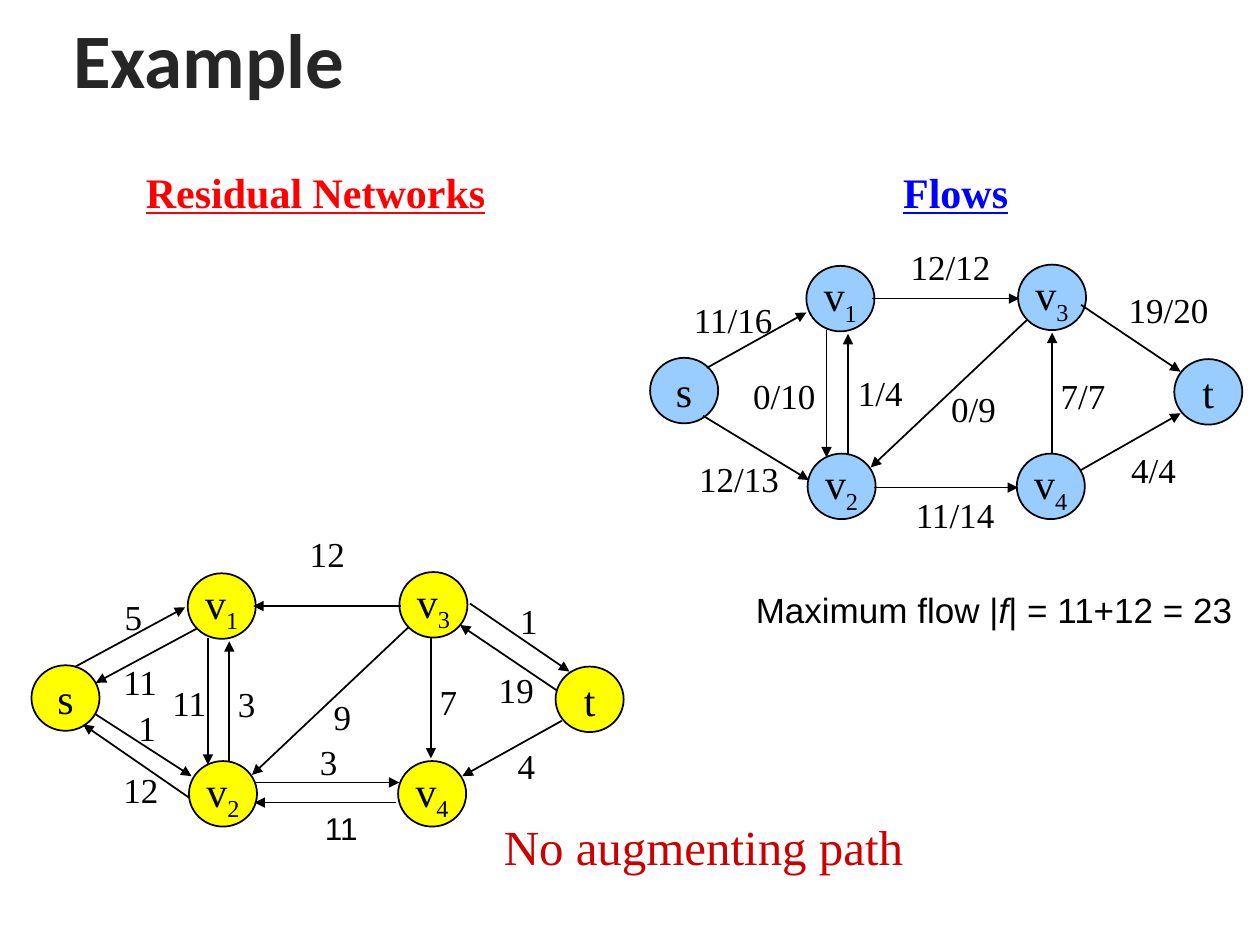
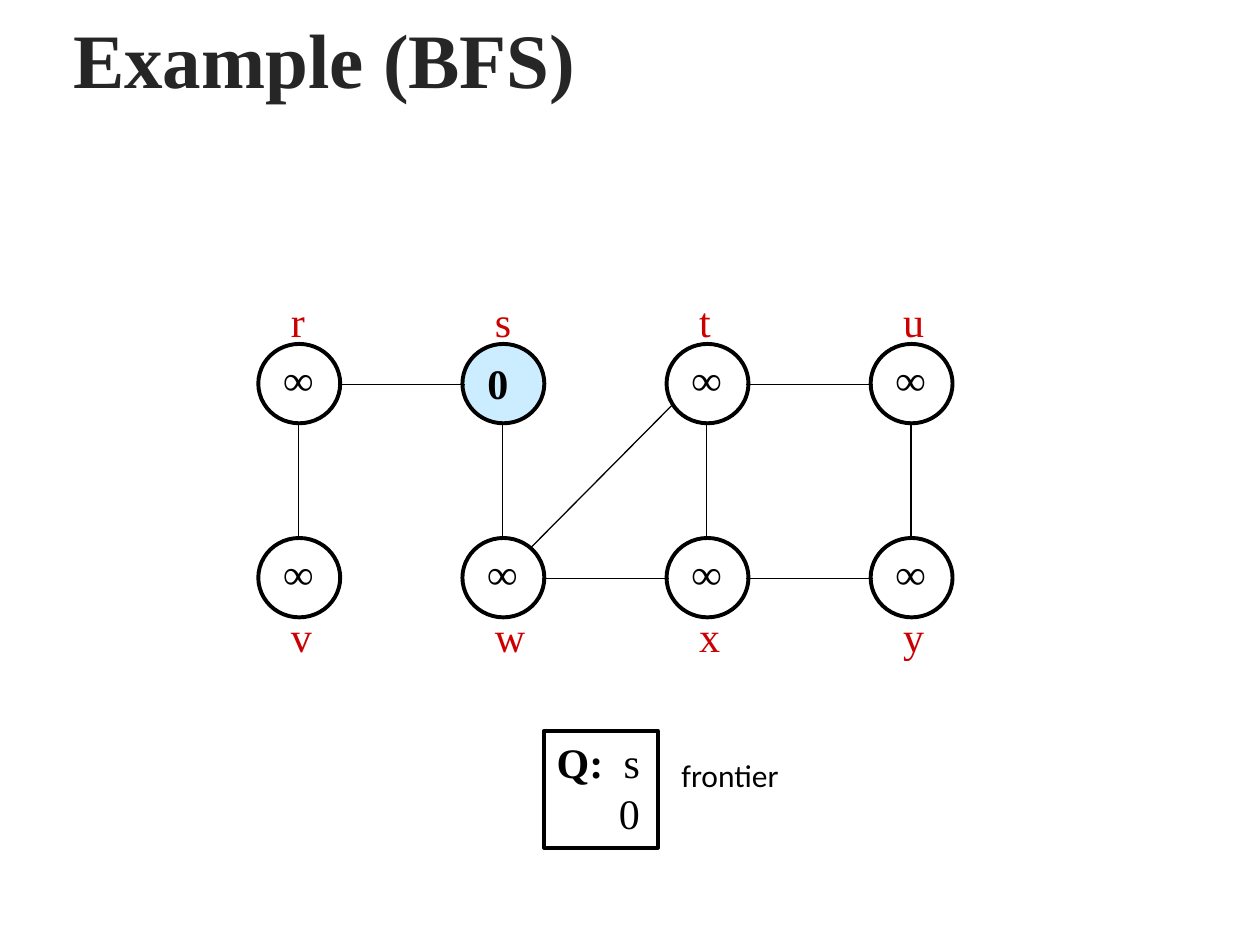
from lxml import etree
from pptx import Presentation
from pptx.dml.color import RGBColor
from pptx.enum.shapes import MSO_CONNECTOR, MSO_SHAPE
from pptx.enum.text import MSO_ANCHOR, PP_ALIGN
from pptx.oxml.ns import qn
from pptx.util import Inches, Pt

OVAL, RECT = MSO_SHAPE.OVAL, MSO_SHAPE.RECTANGLE
STRAIGHT = MSO_CONNECTOR.STRAIGHT
MIDDLE, TOP = MSO_ANCHOR.MIDDLE, MSO_ANCHOR.TOP
LEFT, CENTER = PP_ALIGN.LEFT, PP_ALIGN.CENTER
SERIF, SANS, HEAD = "Times New Roman", "Arial", "Calibri"
BLACK, TITLE, RED = "000000", "262626", "CC0000"

FLOW_NODES = [("s", 0, 0.74), ("t", 4.16, 0.75), ("v3", 2.92, 0),
              ("v4", 2.91, 1.5), ("v2", 1.25, 1.5), ("v1", 1.24, 0.01)]

RESIDUAL_EDGES = [
    (1.65, 5.06, 1.65, 6.07), (1.82, 6.04, 1.82, 5.09), (3.18, 4.81, 2.01, 4.81),
    (3.24, 4.98, 2, 6.15), (3.42, 5.06, 3.42, 6.02), (2.03, 6.21, 3.17, 6.21),
    (3.73, 4.79, 4.52, 5.33), (4.46, 5.72, 3.67, 6.16), (0.6, 5.29, 1.47, 4.82),
    (1.56, 4.99, 0.76, 5.42), (0.76, 5.67, 1.52, 6.16), (1.5, 6.33, 0.66, 5.75),
    (3.14, 6.37, 2.02, 6.37), (4.42, 5.48, 3.65, 4.96)]
RESIDUAL_LABELS = [
    ("11", 1.27, 5.36), ("3", 1.79, 5.37), ("12", 2.36, 4.18), ("9", 2.55, 5.47),
    ("4", 4.01, 5.86), ("5", 0.89, 4.68), ("11", 0.88, 5.19), ("1", 1, 5.56),
    ("12", 0.88, 6.05), ("3", 2.44, 5.83), ("7", 3.39, 5.35), ("1", 4.03, 4.71),
    ("19", 3.86, 5.26)]
FLOW_EDGES = [
    (5.61, 2.92, 6.4, 2.48), (5.58, 3.3, 6.42, 3.81), (6.56, 2.62, 6.56, 3.63),
    (6.73, 3.6, 6.73, 2.65), (6.92, 2.37, 8.09, 2.37), (8.15, 2.54, 6.91, 3.71),
    (8.35, 3.6, 8.35, 2.64), (6.94, 3.87, 8.08, 3.87), (8.58, 2.42, 9.37, 2.95),
    (8.58, 3.73, 9.37, 3.28)]
FLOW_LABELS = [
    ("11/16", 5.41, 2.32), ("12/13", 5.45, 3.58), ("0/10", 5.88, 2.92),
    ("1/4", 6.71, 2.9), ("12/12", 7.13, 1.9), ("11/14", 7.17, 3.87),
    ("0/9", 7.45, 3.03), ("7/7", 8.32, 2.92), ("19/20", 8.86, 2.24), ("4/4", 8.88, 3.51)]


def rgb(value):
    return RGBColor.from_string(value)


class Deck:
    def __init__(self, prs):
        self.prs = prs
        self.s = None

    def style(self, r, size, font=SERIF, color=BLACK, bold=False, underline=False):
        f = r.font
        f.size, f.name, f.bold, f.underline = Pt(size), font, bold, underline
        f.color.rgb = rgb(color)

    def slide(self, title, font):
        self.s = self.prs.slides.add_slide(self.prs.slide_layouts[5])
        sp = self.s.shapes.title
        sp.left, sp.top, sp.width, sp.height = map(Inches, (0.48, 0.08, 9.19, 0.75))
        tf = sp.text_frame
        tf.text = title
        tf.vertical_anchor = MIDDLE
        p = tf.paragraphs[0]
        p.alignment = LEFT
        self.style(p.runs[0], 44, font, TITLE, True)

    def text(self, text, x, y, w, h, size, wrap=False, **look):
        sp = self.s.shapes.add_textbox(*map(Inches, (x, y, w, h)))
        tf = sp.text_frame
        tf.word_wrap = wrap
        tf.text = text
        p = tf.paragraphs[0]
        self.style(p.runs[0], size, **look)
        return p

    def shape(self, kind, x, y, w, h, weight, fill=None):
        sp = self.s.shapes.add_shape(kind, *map(Inches, (x, y, w, h)))
        sp.shadow.inherit = False
        sp.line.color.rgb = rgb(BLACK)
        sp.line.width = Pt(weight)
        if fill:
            sp.fill.solid()
            sp.fill.fore_color.rgb = rgb(fill)
        else:
            sp.fill.background()
        return sp

    def node(self, name, x, y, fill):
        tf = self.shape(OVAL, x, y, 0.54, 0.52, 1, fill).text_frame
        tf.word_wrap = False
        tf.vertical_anchor = MIDDLE
        p = tf.paragraphs[0]
        p.alignment = CENTER
        for i, letter in enumerate(name):
            r = p.add_run()
            r.text = letter
            self.style(r, 24)
            if i:
                r.font._element.set("baseline", "-25000")

    def line(self, x1, y1, x2, y2, weight=0.75, arrow=False):
        c = self.s.shapes.add_connector(STRAIGHT, *map(Inches, (x1, y1, x2, y2)))
        c.line.color.rgb = rgb(BLACK)
        c.line.width = Pt(weight)
        if arrow:
            etree.SubElement(c.line._get_or_add_ln(), qn("a:tailEnd"), type="triangle")
        etree.SubElement(c._element.spPr, qn("a:effectLst"))

    def network(self, x, y, fill, edges, labels):
        for name, dx, dy in FLOW_NODES:
            self.node(name, x + dx, y + dy, fill)
        for edge in edges:
            self.line(*edge, weight=1, arrow=True)
        for label, left, top in labels:
            slashes = label.count("/")
            w = 0.2 + 0.14 * (len(label) - slashes) + 0.08 * slashes
            self.text(label, left, top, w, 0.43, 20)

    def queue(self, x, y, rows, tab):
        tf = self.shape(RECT, x, y, 0.9, 0.93, 2.25).text_frame
        tf.word_wrap = True
        tf.vertical_anchor = TOP
        tf.text = "\n".join("\t".join(row) for row in rows)
        for p in tf.paragraphs:
            p.alignment = LEFT
            tabs = etree.SubElement(p._p.get_or_add_pPr(), qn("a:tabLst"))
            etree.SubElement(tabs, qn("a:tab"), pos=str(Inches(tab)), algn="r")
        for p, (head, value) in zip(tf.paragraphs, rows):
            p.runs[0].text = head
            r = p.add_run()
            r.text = "\t" + value
            self.style(p.runs[0], 24, bold=True)
            self.style(r, 24)


def max_flow_slide(d):
    d.slide("Example", HEAD)
    d.text("Flows", 7.07, 1.27, 1.03, 0.5, 24, color="0000FF", bold=True, underline=True)
    d.text("Residual Networks", 1.06, 1.27, 2.9, 0.5, 24, color="FF0000", bold=True,
           underline=True)
    d.network(0.25, 4.54, "FFFF00", RESIDUAL_EDGES, RESIDUAL_LABELS)
    d.text("No augmenting path", 3.9, 6.43, 3.37, 0.57, 28, color=RED)
    d.text("11", 2.48, 6.37, 0.48, 0.4, 18, font=SANS)
    d.network(5.16, 2.1, "99CCFF", FLOW_EDGES, FLOW_LABELS)
    p = d.text("Maximum flow |", 5.9, 4.62, 4.1, 0.43, 20, wrap=True, font=SANS)
    for part, italic in (("f", True), ("| = 11+12 = 23", False)):
        r = p.add_run()
        r.text = part
        d.style(r, 20, SANS)
        r.font.italic = italic


def bfs_slide(d):
    d.slide("Example (BFS)", SERIF)
    left, step = 2.05, 1.62
    for names, top, label_top in (("rstu", 2.73, 2.3), ("vwxy", 4.27, 4.8)):
        for i, name in enumerate(names):
            x = left + step * i
            source = name == "s"
            d.shape(OVAL, x, top, 0.65, 0.63, 2.25, "CCECFF" if source else None)
            distance, dy = ("0", 0.06) if source else ("∞", 0.03)
            d.text(distance, x + 0.1, top + dy, 0.44, 0.5, 24, bold=True)
            d.text(name, x + 0.16, label_top, 0.37, 0.5, 24, color=RED)
    for i in range(4):
        x = left + 0.32 + step * i
        d.line(x, 3.36, x, 4.28)
    for i, y in ((0, 3.05), (2, 3.05), (1, 4.59), (2, 4.59)):
        x = left + 0.63 + step * i
        d.line(x, y, x + 1.01, y)
    d.line(4.21, 4.35, 5.33, 3.22)
    d.queue(4.32, 5.8, [("Q:", "s"), ("", "0")], 0.66)
    d.text("frontier", 5.31, 5.95, 0.98, 0.4, 18, font=HEAD)


def main():
    prs = Presentation()
    prs.slide_width, prs.slide_height = Inches(10), Inches(7.5)
    d = Deck(prs)
    max_flow_slide(d)
    bfs_slide(d)
    prs.save("out.pptx")


if __name__ == "__main__":
    main()
